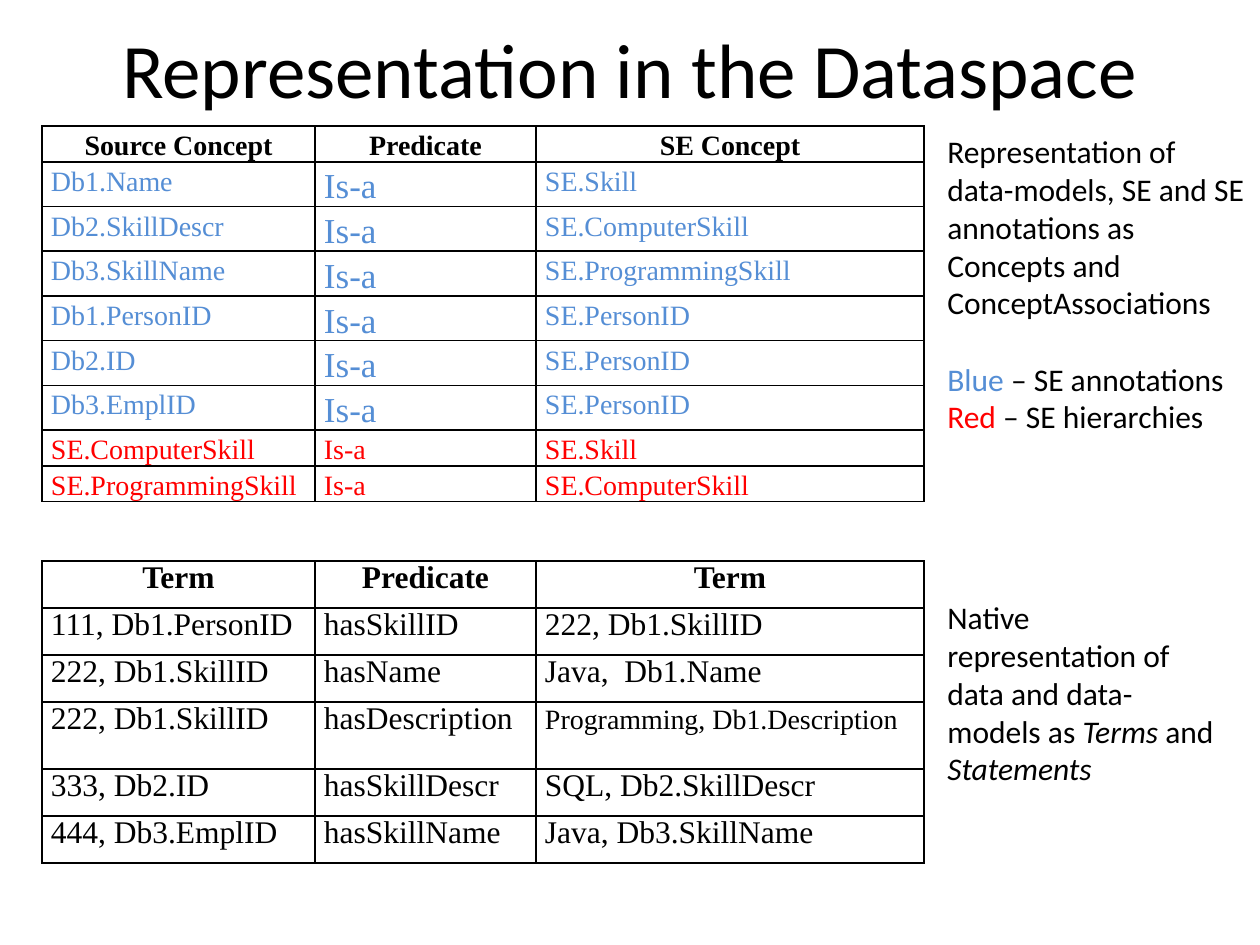
from lxml import etree
from pptx import Presentation
from pptx import util as u
from pptx.dml.color import RGBColor
from pptx.enum import text
from pptx.oxml.ns import qn

PX = 914400 / 126
COLORS = {"black": "000000", "blue": "558ED5", "red": "FF0000"}
COLUMNS = (273, 221, 388)


def px(n):
    return u.Emu(round(n * PX))


def style(r, size, font="Calibri", color="black", bold=False, italic=False):
    f = r.font
    f.size, f.name, f.bold, f.italic = u.Pt(size), font, bold, italic
    f.color.rgb = RGBColor.from_string(COLORS[color])


def add_title(s, box, words):
    sp = s.shapes.title
    sp.left, sp.top, sp.width, sp.height = map(px, box)
    tf = sp.text_frame
    tf.text = words
    tf.vertical_anchor = text.MSO_ANCHOR.MIDDLE
    p = tf.paragraphs[0]
    p.alignment = text.PP_ALIGN.CENTER
    style(p.runs[0], 44)


def add_borders(cell):
    tc_pr = cell._tc.get_or_add_tcPr()
    for i, side in enumerate(("lnL", "lnR", "lnT", "lnB")):
        ln = etree.Element(qn("a:" + side), w=str(u.Pt(1)))
        fill = etree.SubElement(ln, qn("a:solidFill"))
        etree.SubElement(fill, qn("a:srgbClr"), val=COLORS["black"])
        tc_pr.insert(i, ln)


def add_grid(s, left, top, rows, heights, pad, spacing, look):
    shape = s.shapes.add_table(len(rows), len(COLUMNS), px(left), px(top),
                               px(sum(COLUMNS)), px(sum(heights)))
    table = shape.table
    table.horz_banding = False
    for column, width in zip(table.columns, COLUMNS):
        column.width = px(width)
    for i, (row, height) in enumerate(zip(rows, heights)):
        table.rows[i].height = px(height)
        for j, words in enumerate(row):
            cell = table.cell(i, j)
            cell.fill.background()
            add_borders(cell)
            cell.margin_left = cell.margin_right = px(9)
            cell.margin_top = cell.margin_bottom = px(pad)
            cell.text = words
            p = cell.text_frame.paragraphs[0]
            p.line_spacing = spacing
            p.alignment = text.PP_ALIGN.LEFT if i else text.PP_ALIGN.CENTER
            size, color = look(i, j)
            style(p.runs[0], size, "Times New Roman", color, bold=i == 0)


def add_note(s, box, paragraphs, gap_before=None):
    sp = s.shapes.add_textbox(*map(px, box))
    tf = sp.text_frame
    tf.word_wrap = True
    tf.auto_size = text.MSO_AUTO_SIZE.SHAPE_TO_FIT_TEXT
    for i, runs in enumerate(paragraphs):
        p = tf.add_paragraph() if i else tf.paragraphs[0]
        if i == gap_before:
            p.space_before = u.Pt(22)
        for words, color, italic in runs:
            r = p.add_run()
            r.text = words
            style(r, 18, color=color, italic=italic)


def concept_look(i, j):
    if i == 0:
        return 16, "black"
    if i > 6:
        return 16, "red"
    return (20 if j == 1 else 16), "blue"


def term_look(i, j):
    return (16 if (i, j) == (3, 2) else 18), "black"


CONCEPTS = [("Source Concept", "Predicate", "SE Concept")] + [
    (source, "Is-a", concept) for source, concept in (
        ("Db1.Name", "SE.Skill"),
        ("Db2.SkillDescr", "SE.ComputerSkill"),
        ("Db3.SkillName", "SE.ProgrammingSkill"),
        ("Db1.PersonID", "SE.PersonID"),
        ("Db2.ID", "SE.PersonID"),
        ("Db3.EmplID", "SE.PersonID"),
        ("SE.ComputerSkill", "SE.Skill"),
        ("SE.ProgrammingSkill", "SE.ComputerSkill"))]
TERMS = [
    ("Term", "Predicate", "Term"),
    ("111, Db1.PersonID", "hasSkillID", "222, Db1.SkillID"),
    ("222, Db1.SkillID", "hasName", "Java,  Db1.Name"),
    ("222, Db1.SkillID", "hasDescription", "Programming, Db1.Description"),
    ("333, Db2.ID", "hasSkillDescr", "SQL, Db2.SkillDescr"),
    ("444, Db3.EmplID", "hasSkillName", "Java, Db3.SkillName")]
CONCEPT_NOTE = [
    [("Representation of data-models, SE and SE annotations as Concepts "
      "and ConceptAssociations", "black", False)],
    [("Blue", "blue", False), (" – SE annotations", "black", False)],
    [("Red", "red", False), (" – SE hierarchies", "black", False)]]
TERM_NOTE = [[
    ("Native representation of data and data-models as ", "black", False),
    ("Terms", "black", True), (" and ", "black", False),
    ("Statements", "black", True)]]

prs = Presentation()
prs.slide_width, prs.slide_height = px(1260), px(945)
s = prs.slides.add_slide(prs.slide_layouts[5])
add_title(s, (63, 0, 1134, 136), "Representation in the Dataspace")
add_grid(s, 42, 561, TERMS, [46, 46, 46, 67, 46, 46], 13, u.Pt(12), term_look)
add_grid(s, 42, 126, CONCEPTS, [35] + [44] * 6 + [35] * 2, 0, 1.15, concept_look)
add_note(s, (935, 126, 325, 394), CONCEPT_NOTE, gap_before=1)
add_note(s, (935, 592, 294, 204), TERM_NOTE)
prs.save("out.pptx")
